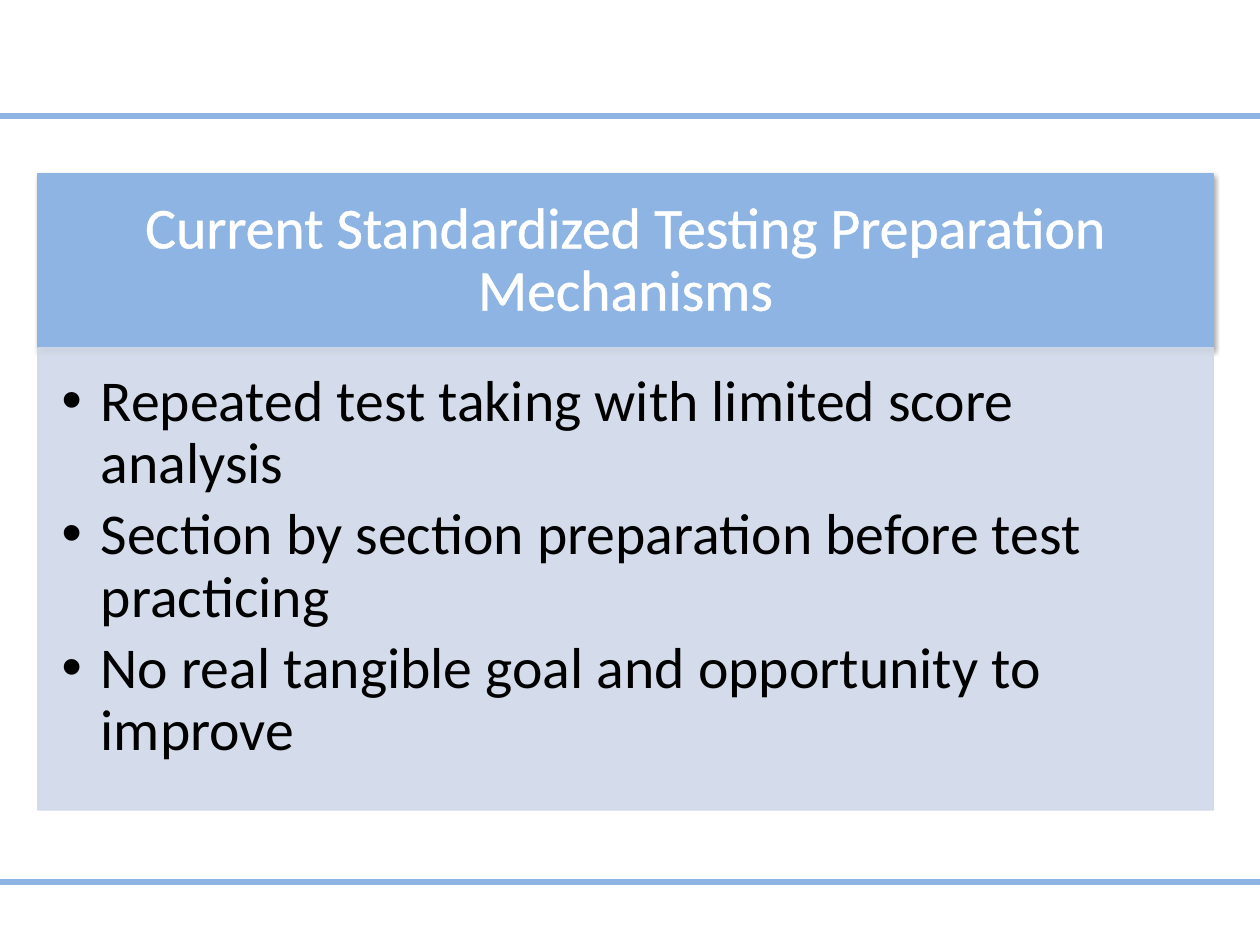
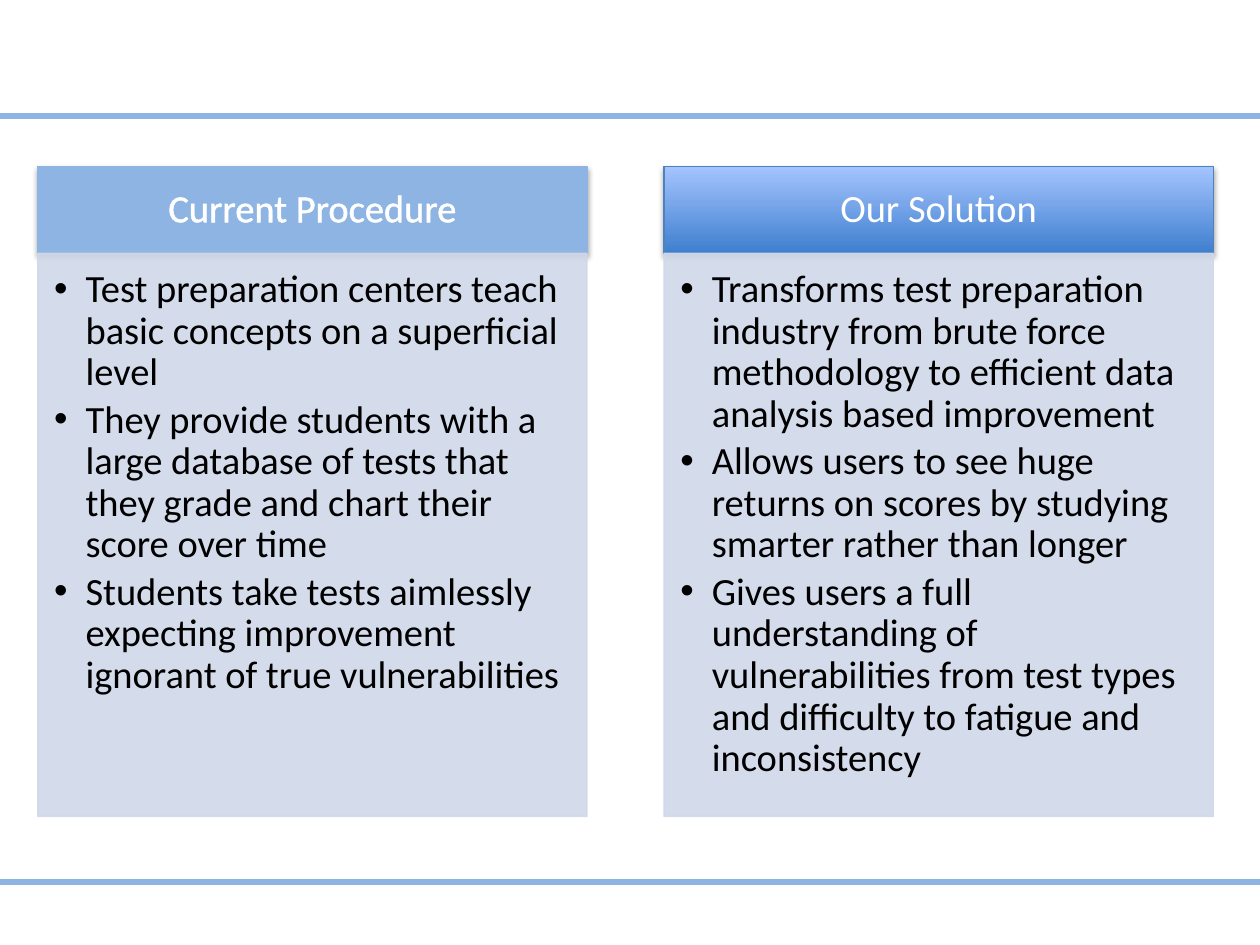
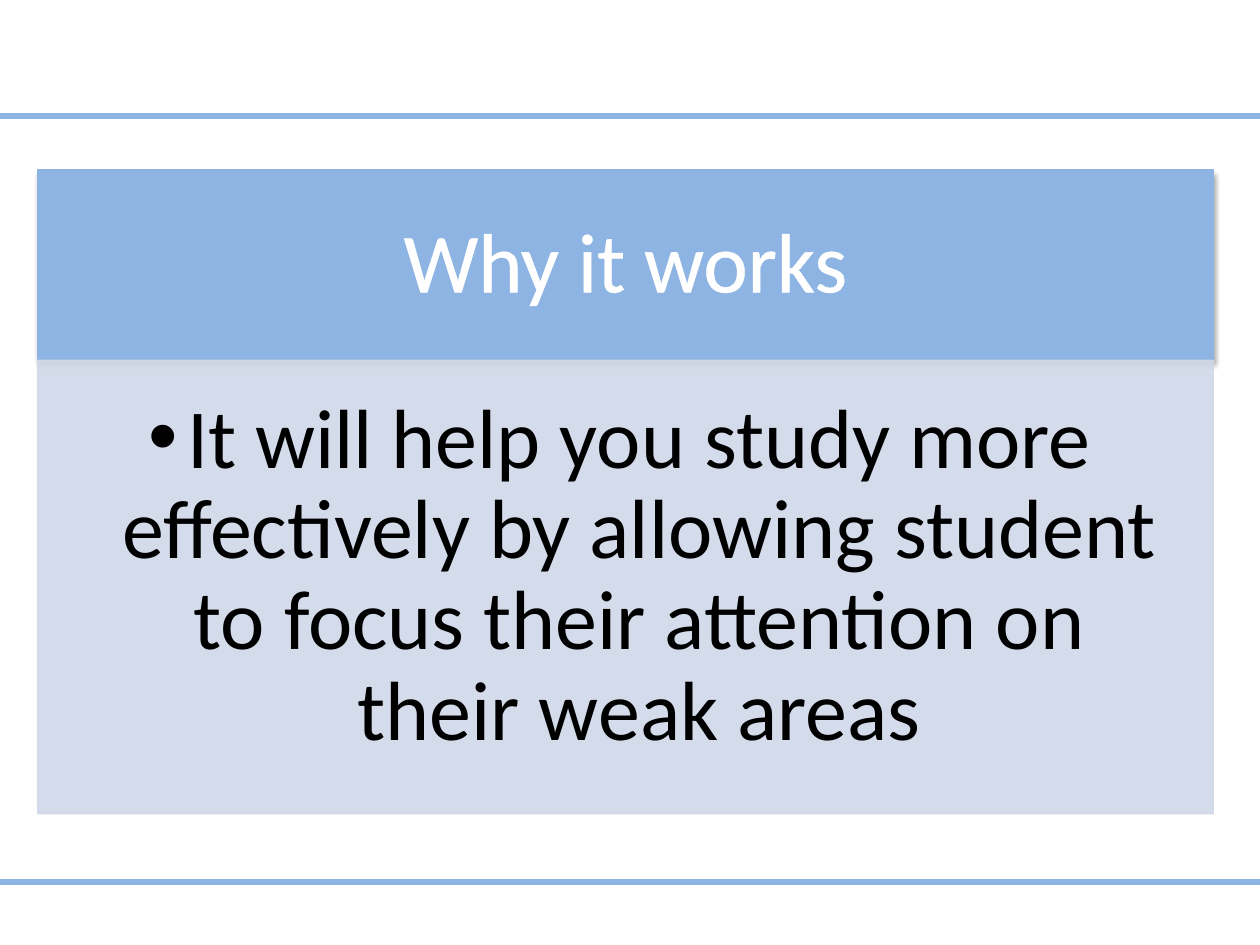
from lxml.etree import SubElement
from pptx import Presentation
from pptx.dml.color import RGBColor
from pptx.enum.shapes import MSO_CONNECTOR, MSO_SHAPE
from pptx.enum.text import MSO_ANCHOR, PP_ALIGN
from pptx.oxml import parse_xml
from pptx.oxml.ns import nsdecls, qn
from pptx.util import Pt

PX = 9144  # 100 px to the inch
BLUE, PALE, WHITE, BLACK = "8EB4E3", "D0D8E8", "FFFFFF", "000000"
GRADIENT, GRADIENT_EDGE = ("3F7FCE", "A4C4FF"), "4F81BD"
LEFT, FULL, HALF = 30, 933, 436
RIGHT = LEFT + FULL - HALF

SHADOW = (f'<a:outerShdw {nsdecls("a")} blurRad="40000" dist="23000" dir="5400000" rotWithShape="0">'
          '<a:srgbClr val="000000"><a:alpha val="35000"/></a:srgbClr></a:outerShdw>')
TEXT_OUTLINE = (f'<a:ln {nsdecls("a")} w="9525"><a:solidFill><a:srgbClr val="{WHITE}"/>'
                '</a:solidFill></a:ln>')
BULLET = (f'<a:buFont {nsdecls("a")} typeface="Arial"/>', f'<a:buChar {nsdecls("a")} char="•"/>')


def color(value):
    return RGBColor.from_string(value)


def add_block(page, area, fill, size, insets, lines, text_color):
    """Add a filled rectangle with text; insets are hundredths of the text size."""
    block = page.shapes.add_shape(MSO_SHAPE.RECTANGLE, *(length * PX for length in area))
    block.shadow.inherit = False
    block.fill.solid()
    block.fill.fore_color.rgb = color(fill)
    block.line.color.rgb = color(fill)
    block.line.width = Pt(0.75)
    frame = block.text_frame
    frame.word_wrap = True
    frame.margin_left, frame.margin_top, frame.margin_right, frame.margin_bottom = (
        round(size * inset / 100) * PX for inset in insets)
    for index, line in enumerate(lines):
        para = frame.paragraphs[0] if index == 0 else frame.add_paragraph()
        para.text = line
        para.line_spacing = 0.9
        para.font.name = "Calibri"
        para.font.size = Pt(size)
        para.font.color.rgb = color(text_color)
    return block


# Each panel: left, top, width, header height, body height, text size,
# body alignment, bullet indent, gradient header, title, bullets
slides = [
    [(LEFT, 138, FULL, 138, 367, 33, PP_ALIGN.LEFT, 31, False,
      "Current Standardized Testing Preparation Mechanisms",
      ["Repeated test taking with limited score analysis",
       "Section by section preparation before test practicing",
       "No real tangible goal and opportunity to improve"])],
    [(LEFT, 132, HALF, 69, 447, 22, PP_ALIGN.LEFT, 25, False,
      "Current Procedure",
      ["Test preparation centers teach basic concepts on a superficial level",
       "They provide students with a large database of tests that they grade "
       "and chart their score over time",
       "Students take tests aimlessly expecting improvement ignorant of true vulnerabilities"]),
     (RIGHT, 132, HALF, 69, 447, 22, PP_ALIGN.LEFT, 25, True,
      "Our Solution",
      ["Transforms test preparation industry from brute force methodology to "
       "efficient data analysis based improvement",
       "Allows users to see huge returns on scores by studying smarter rather than longer",
       "Gives users a full understanding of vulnerabilities from test types and "
       "difficulty to fatigue and inconsistency"])],
    [(LEFT, 135, FULL, 151, 360, 48, PP_ALIGN.CENTER, 31, False,
      "Why it works",
      ["It will help you study more effectively by allowing student to focus "
       "their attention on their weak areas"])],
]

deck = Presentation()
deck.slide_width = 1000 * PX
deck.slide_height = 750 * PX

for panels in slides:
    page = deck.slides.add_slide(deck.slide_layouts[6])

    for y in (92, 700):
        rule = page.shapes.add_connector(MSO_CONNECTOR.STRAIGHT, 0, y * PX, 1000 * PX, y * PX)
        rule.line.color.rgb = color(BLUE)
        rule.line.width = Pt(3)
        SubElement(rule._element.spPr, qn("a:effectLst"))

    for (left, top, width, header_height, body_height, size, alignment, indent,
         has_gradient, title, bullets) in panels:
        header = add_block(page, (left, top, width, header_height), BLUE, size,
                           (78, 44, 78, 44), [title], WHITE)
        header.text_frame.vertical_anchor = MSO_ANCHOR.MIDDLE
        heading = header.text_frame.paragraphs[0]
        heading.alignment = PP_ALIGN.CENTER
        header._element.spPr.find(qn("a:effectLst")).append(parse_xml(SHADOW))
        if has_gradient:
            header.fill.gradient()
            header.fill.gradient_angle = 90
            for stop, shade in zip(header.fill.gradient_stops, GRADIENT):
                stop.color.rgb = color(shade)
            header.line.color.rgb = color(GRADIENT_EDGE)
        else:
            heading._p.pPr.find(qn("a:defRPr")).insert(0, parse_xml(TEXT_OUTLINE))

        body = add_block(page, (left, top + header_height, width, body_height), PALE, size,
                         (58, 58, 78, 87), bullets, BLACK)
        body.text_frame.vertical_anchor = MSO_ANCHOR.TOP
        for tint in body._element.spPr.iter(qn("a:srgbClr")):
            SubElement(tint, qn("a:alpha"), val="90000")
        for para in body.text_frame.paragraphs:
            para.alignment = alignment
            para.level = 1
            para.space_after = Pt(size * 0.15)
            properties = para._p.pPr
            properties.set("marL", str(indent * PX))
            properties.set("indent", str(-indent * PX))
            for part in BULLET:
                properties.find(qn("a:defRPr")).addprevious(parse_xml(part))

deck.save("out.pptx")
